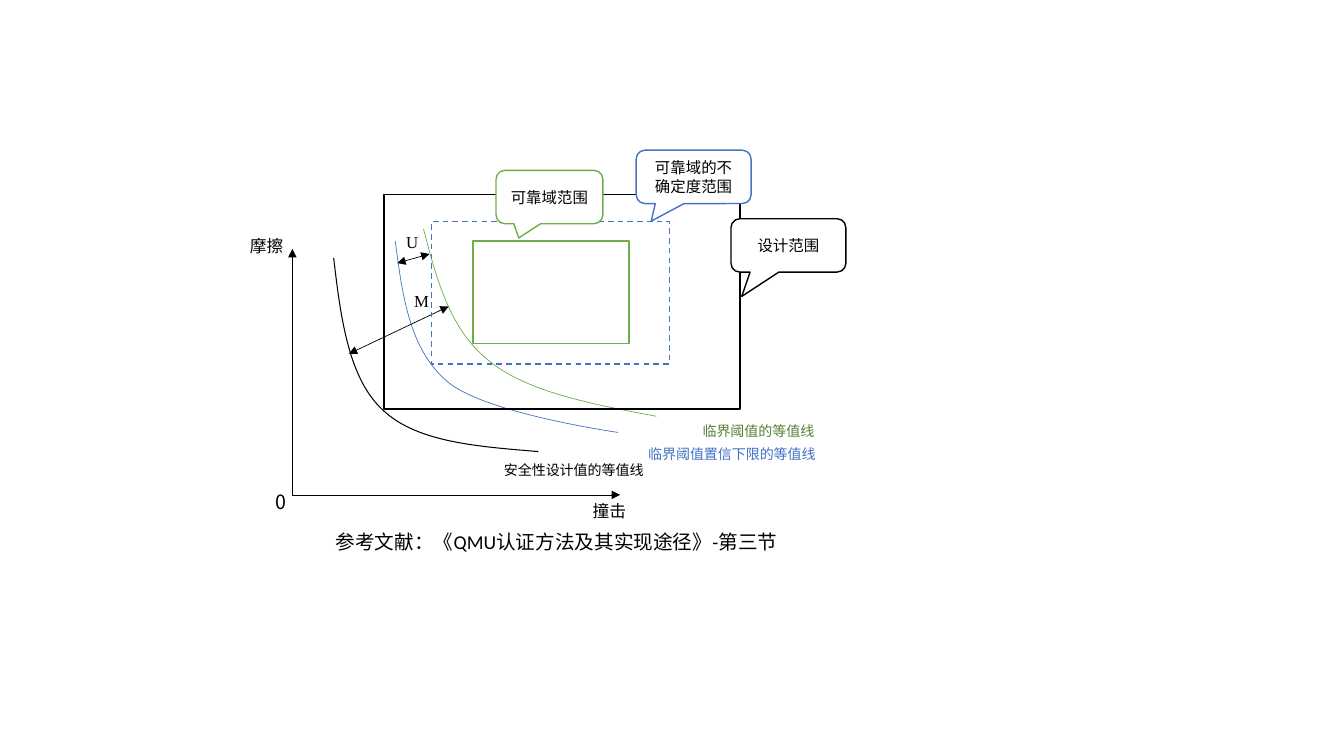
from dataclasses import dataclass

from lxml.etree import SubElement
from pptx import Presentation
from pptx.dml.color import RGBColor
from pptx.enum.dml import MSO_LINE_DASH_STYLE as Dash
from pptx.enum.shapes import MSO_CONNECTOR, MSO_SHAPE as Shape
from pptx.enum.text import MSO_ANCHOR, MSO_AUTO_SIZE, PP_ALIGN
from pptx.oxml.ns import qn
from pptx.util import Inches, Pt

COLORS = {
    "black": "000000",
    "white": "FFFFFF",
    "blue": "4472C4",
    "green": "70AD47",
    "dark green": "548235",
}
CJK = "Noto Sans CJK SC"

Point = tuple[float, float]
Box = tuple[float, float, float, float]


@dataclass
class Curve:
    """Two joined cubic Béziers: a start, then three points for each."""
    points: list[Point]
    color: str
    width: float = 0.5


@dataclass
class Arrow:
    start: Point
    end: Point
    double: bool = False


@dataclass
class Label:
    text: str
    box: Box
    size: float
    color: str = "black"
    font: str = CJK
    wrap: bool = False


@dataclass
class Region:
    box: Box
    color: str
    fill: str | None = None
    dashed: bool = False


@dataclass
class Callout:
    text: str
    box: Box
    tip: Point
    color: str


CURVES = [
    Curve([(3.31, 2.56), (3.38, 3.16), (3.46, 3.76), (3.8, 4.07),
           (4.14, 4.39), (4.74, 4.43), (5.34, 4.48)], "black", 0.75),
    Curve([(3.92, 2.39), (3.99, 2.93), (4.06, 3.46), (4.43, 3.78),
           (4.79, 4.1), (6.13, 4.29), (6.13, 4.29)], "blue"),
    Curve([(4.2, 2.27), (4.33, 2.77), (4.46, 3.27), (4.85, 3.58),
           (5.23, 3.89), (5.87, 4.01), (6.51, 4.13)], "green"),
]
ORIGIN = (2.9, 4.91)
AXES = [Arrow(ORIGIN, (2.9, 2.47)), Arrow(ORIGIN, (6.15, 4.91))]
MARGINS = [
    Arrow((3.94, 2.61), (4.26, 2.52), double=True),
    Arrow((3.46, 3.51), (4.45, 3.04), double=True),
]
AXIS_LABELS = [
    Label("摩擦", (2.38, 2.29, 0.54, 0.3), 12),
    Label("撞击", (5.78, 4.92, 0.55, 0.3), 12),
    Label("0", (2.63, 4.81, 0.35, 0.34), 14),
]
MARGIN_LABELS = [
    Label("U", (3.93, 2.25, 0.33, 0.3), 12, font="Times New Roman"),
    Label("M", (4.01, 2.84, 0.36, 0.3), 12, font="Times New Roman"),
]
REGIONS = [
    Region((4.69, 2.39, 1.55, 1.02), "green", fill="white"),
    Region((4.28, 2.2, 2.36, 1.41), "blue", dashed=True),
    Region((3.81, 1.93, 3.53, 2.13), "black"),
]
CALLOUTS = [
    Callout("可靠域范围", (4.92, 1.69, 1.06, 0.53), (-0.287, 0.766), "green"),
    Callout("可靠域的不确定度范围", (6.31, 1.49, 1.14, 0.53), (-0.369, 0.829), "blue"),
    Callout("设计范围", (7.25, 2.17, 1.14, 0.53), (-0.406, 0.955), "black"),
]
NOTES = [
    Label("参考文献：《QMU认证方法及其实现途径》-第三节",
          (3.23, 5.21, 4.62, 0.34), 14, font="Calibri", wrap=True),
    Label("临界阈值的等值线", (6.87, 4.14, 1.32, 0.27), 10, "dark green"),
    Label("临界阈值置信下限的等值线", (6.33, 4.37, 1.88, 0.27), 10, "blue"),
    Label("安全性设计值的等值线", (4.9, 4.53, 1.6, 0.27), 10),
]


def rgb(color: str) -> RGBColor:
    return RGBColor.from_string(COLORS[color])


def style_line(line, color: str, width: float) -> None:
    line.color.rgb = rgb(color)
    line.width = Pt(width)


def write(tf, text: str, *, size: float, color: str = "black",
          font: str = CJK, align=PP_ALIGN.LEFT) -> None:
    p = tf.paragraphs[0]
    p.alignment = align
    r = p.add_run()
    r.text = text
    r.font.size = Pt(size)
    r.font.color.rgb = rgb(color)
    r.font.name = font
    SubElement(r.font._element, qn("a:ea"), typeface=CJK)


def draw_curve(shapes, curve: Curve) -> None:
    """Lay the control points as segments, then join each three into a Bézier."""
    start, *rest = [(Inches(x), Inches(y)) for x, y in curve.points]
    builder = shapes.build_freeform(*start)
    builder.add_line_segments(rest, close=False)
    sp = builder.convert_to_shape()
    segments = list(sp._element.iter(qn("a:lnTo")))
    outline = segments[0].getparent()
    for i in range(0, len(segments), 3):
        bezier = SubElement(outline, qn("a:cubicBezTo"))
        for segment in segments[i:i + 3]:
            bezier.append(segment[0])
            outline.remove(segment)
    sp.shadow.inherit = False
    sp.fill.background()
    style_line(sp.line, curve.color, curve.width)


def draw_arrow(shapes, arrow: Arrow) -> None:
    ends = (Inches(v) for v in arrow.start + arrow.end)
    cxn = shapes.add_connector(MSO_CONNECTOR.STRAIGHT, *ends)
    style_line(cxn.line, "black", 0.5)
    props = cxn._element.spPr
    ln = props.find(qn("a:ln"))
    for end in ("a:headEnd", "a:tailEnd") if arrow.double else ("a:tailEnd",):
        SubElement(ln, qn(end), type="triangle")
    SubElement(props, qn("a:effectLst"))


def draw_label(shapes, label: Label) -> None:
    tf = shapes.add_textbox(*map(Inches, label.box)).text_frame
    tf.word_wrap = label.wrap
    tf.auto_size = MSO_AUTO_SIZE.SHAPE_TO_FIT_TEXT
    write(tf, label.text, size=label.size, color=label.color, font=label.font)


def add_outlined(shapes, kind, box: Box, color: str, fill: str | None):
    sp = shapes.add_shape(kind, *map(Inches, box))
    sp.shadow.inherit = False
    if fill:
        sp.fill.solid()
        sp.fill.fore_color.rgb = rgb(fill)
    else:
        sp.fill.background()
    style_line(sp.line, color, 1)
    return sp


def draw_region(shapes, region: Region) -> None:
    sp = add_outlined(shapes, Shape.RECTANGLE, region.box, region.color, region.fill)
    if region.dashed:
        sp.line.dash_style = Dash.DASH


def draw_callout(shapes, callout: Callout) -> None:
    sp = add_outlined(shapes, Shape.ROUNDED_RECTANGULAR_CALLOUT,
                      callout.box, callout.color, "white")
    sp.adjustments[0], sp.adjustments[1] = callout.tip
    tf = sp.text_frame
    tf.word_wrap = True
    tf.vertical_anchor = MSO_ANCHOR.MIDDLE
    write(tf, callout.text, size=11, align=PP_ALIGN.CENTER)


def main() -> None:
    prs = Presentation()
    prs.slide_width, prs.slide_height = Inches(13.33), Inches(7.5)
    shapes = prs.slides.add_slide(prs.slide_layouts[6]).shapes
    layers = [
        (draw_arrow, AXES), (draw_curve, CURVES), (draw_label, AXIS_LABELS),
        (draw_arrow, MARGINS), (draw_label, MARGIN_LABELS),
        (draw_region, REGIONS), (draw_callout, CALLOUTS), (draw_label, NOTES),
    ]
    for draw, items in layers:
        for item in items:
            draw(shapes, item)
    prs.save("out.pptx")


if __name__ == "__main__":
    main()
